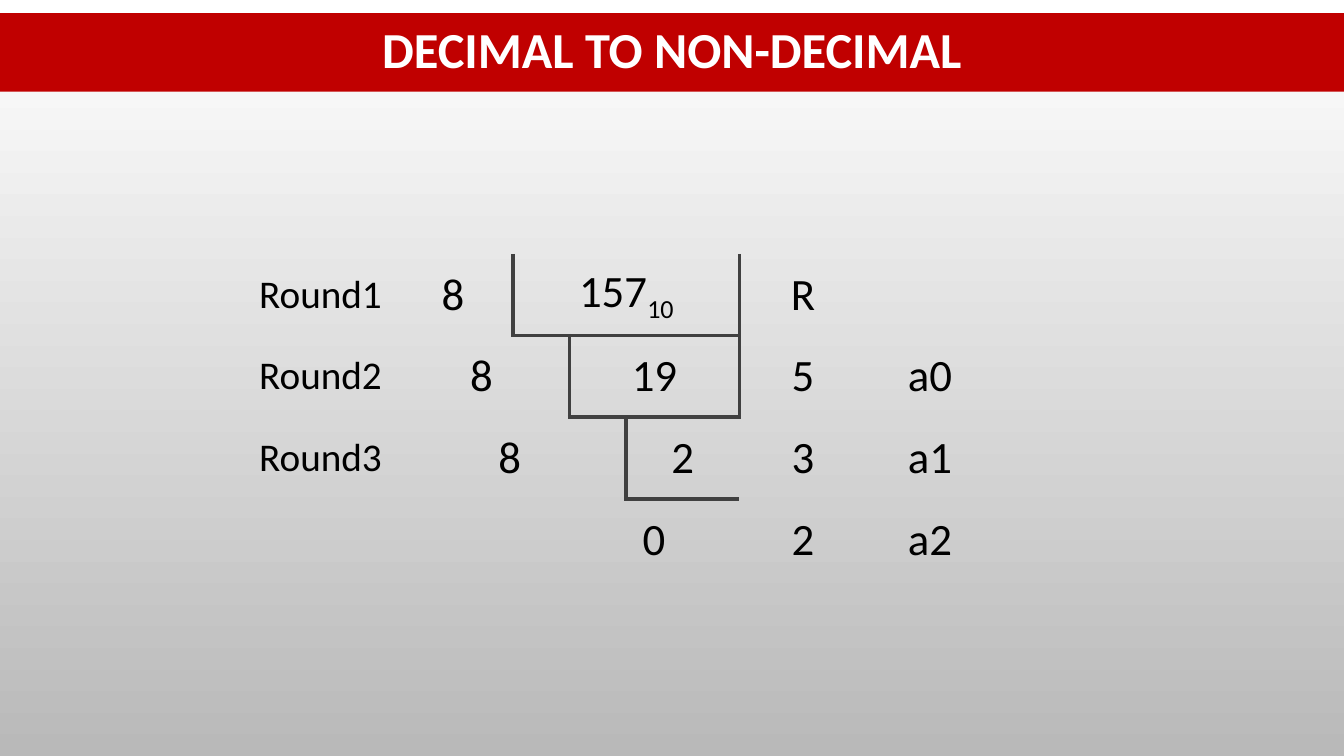
from lxml import etree
from pptx import Presentation
from pptx.dml.color import RGBColor
from pptx.enum.shapes import MSO_SHAPE
from pptx.enum.text import MSO_ANCHOR, PP_ALIGN
from pptx.oxml.ns import qn
from pptx.util import Pt

RECT = MSO_SHAPE.RECTANGLE
MIDDLE = MSO_ANCHOR.MIDDLE
CENTER, LEFT = PP_ALIGN.CENTER, PP_ALIGN.LEFT
NO_GRID = "{2D5ABB26-0587-4C30-8999-92F81FD0307C}"
COLORS = {"top": "FFFFFF", "base": "B9B9B9", "band": "C00000",
          "title": "FFFFFF", "text": "000000", "rule": "404040"}


def write(frame, text, size, color="text", bold=False, align=CENTER):
    """Add a run to the first paragraph and return it."""
    para = frame.paragraphs[0]
    para.alignment = align
    run = para.add_run()
    run.text = text
    look = {"name": "Calibri", "size": Pt(size), "bold": bold}
    for key, value in look.items():
        setattr(run.font, key, value)
    run.font.color.rgb = RGBColor.from_string(COLORS[color])
    return run


def edge(cell, sides):
    """Draw 3 pt borders; sides come in the order L, R, T, B."""
    props = cell._tc.get_or_add_tcPr()
    for side in sides:
        line = etree.SubElement(props, qn(f"a:ln{side}"), w=str(Pt(3)))
        fill = etree.SubElement(line, qn("a:solidFill"))
        etree.SubElement(fill, qn("a:srgbClr"), val=COLORS["rule"])


prs = Presentation()
prs.slide_width, prs.slide_height = Pt(960), Pt(540)
slide = prs.slides.add_slide(prs.slide_layouts[6])

back = slide.background.fill
back.gradient()
back.gradient_angle = 270
for stop, name in zip(back.gradient_stops, ("top", "base")):
    stop.color.rgb = RGBColor.from_string(COLORS[name])
    stop.position = 0 if name == "top" else 1

# Title band
band = slide.shapes.add_shape(RECT, 0, Pt(9.4), Pt(960), Pt(56))
band.shadow.inherit = False
band.fill.solid()
band.fill.fore_color.rgb = RGBColor.from_string(COLORS["band"])
band.line.fill.background()
band.text_frame.vertical_anchor = MIDDLE
write(band.text_frame, "DECIMAL TO NON-DECIMAL", 36, "title", True)
band.text_frame.paragraphs[0].line_spacing = 0.9

# Division table
widths = [103.7, 85.7, 40.4, 40.4, 80.9, 90.8, 90.8]
high = 58.35
table = slide.shapes.add_table(
    4, len(widths), Pt(177.1), Pt(181.4), Pt(sum(widths)), Pt(4 * high)).table
table.first_row = table.horz_banding = False
table._tbl.tblPr.find(qn("a:tableStyleId")).text = NO_GRID
for col, width in zip(table.columns, widths):
    col.width = Pt(width)
for row in table.rows:
    row.height = Pt(high)

# Each round moves the divisor's edge one column to the right
for row, value in enumerate(["157", "19", "2"]):
    start = row + 2
    write(table.cell(row, 0).text_frame, f"Round{row + 1}", 28)
    div, num = table.cell(row, 1), table.cell(row, start)
    write(div.text_frame, "8", 32)
    write(num.text_frame, value, 32)
    edge(div, "R")
    edge(num, "LTB" if row else "LB")
    for col in range(start + 1, 5):
        edge(table.cell(row, col), "TB" if row else "B")
    if row:
        div.merge(table.cell(row, start - 1))
    if start < 4:
        num.merge(table.cell(row, 4))

sub = write(table.cell(0, 2).text_frame, "10", 32)
sub._r.get_or_add_rPr().set("baseline", "-25000")

last = table.cell(3, 2)
last.merge(table.cell(3, 4))
last.margin_left = Pt(92.5)
write(last.text_frame, "0", 32, align=LEFT)

for row, rest in enumerate("R532"):
    write(table.cell(row, 5).text_frame, rest, 32)
    if row:
        write(table.cell(row, 6).text_frame, f"a{row - 1}", 32)

for cell in table.iter_cells():
    cell.vertical_anchor = MIDDLE
    cell.fill.background()

prs.save("out.pptx")
